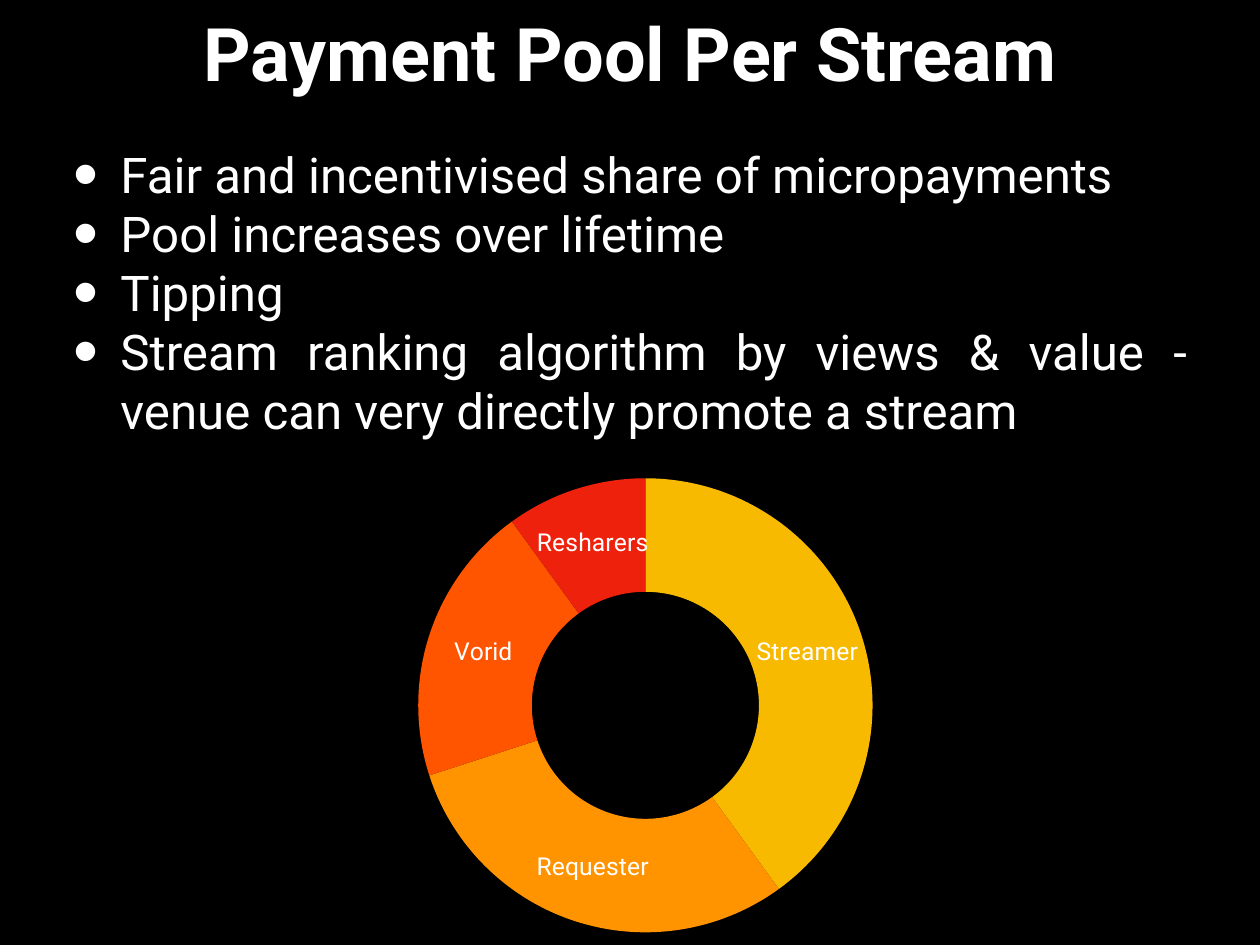
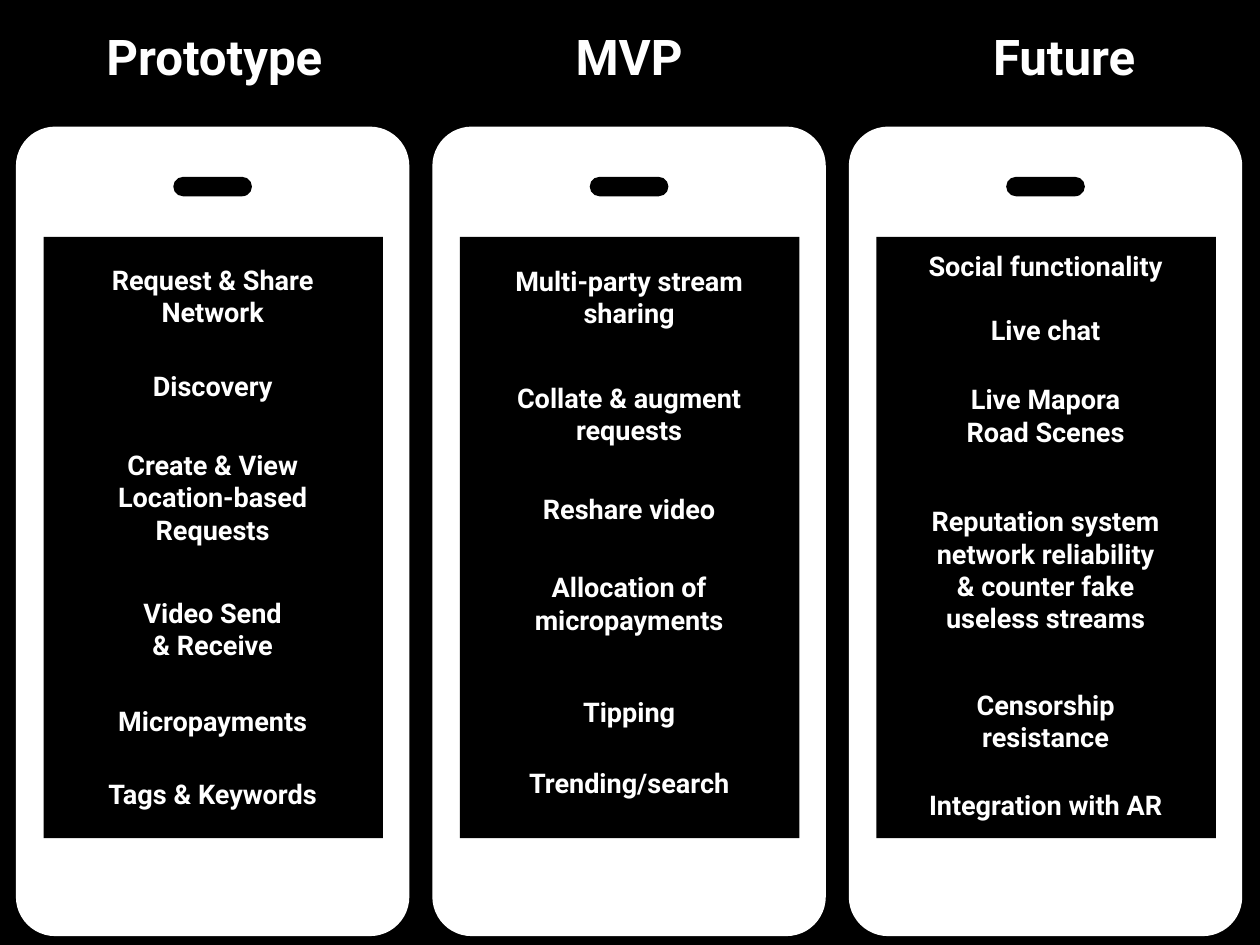
from lxml import etree
from pptx import Presentation
from pptx.chart.data import CategoryChartData
from pptx.dml.color import RGBColor
from pptx.enum.chart import XL_CHART_TYPE
from pptx.enum.shapes import MSO_SHAPE
from pptx.enum.text import MSO_ANCHOR, MSO_AUTO_SIZE, PP_ALIGN
from pptx.oxml import parse_xml
from pptx.oxml.ns import nsdecls, qn
from pptx.util import Inches, Pt

DOUGHNUT = XL_CHART_TYPE.DOUGHNUT
RECT, ROUND_RECT = MSO_SHAPE.RECTANGLE, MSO_SHAPE.ROUNDED_RECTANGLE
MIDDLE = MSO_ANCHOR.MIDDLE
CENTER, JUSTIFY = PP_ALIGN.CENTER, PP_ALIGN.JUSTIFY
NO_FIT, GROW = MSO_AUTO_SIZE.NONE, MSO_AUTO_SIZE.SHAPE_TO_FIT_TEXT

SLIDE_W, SLIDE_H = 14.22, 10.67
FONT = "Roboto"
INSET = 0.06
COLORS = {
    "back": "000000",
    "text": "FFFFFF",
    "phone": "FFFFFF",
    "yellow": "F8BA00",
    "amber": "FF9300",
    "orange": "FF5400",
    "red": "EE220C",
}

BULLETS = [
    "Fair and incentivised share of micropayments",
    "Pool increases over lifetime",
    "Tipping",
    "Stream ranking algorithm by views & value - venue can very directly promote a stream",
]
# name, share of the pool, colour
SHARES = [
    ("Streamer", 40, "yellow"),
    ("Requester", 30, "amber"),
    ("Vorid", 20, "orange"),
    ("Resharers", 10, "red"),
]

PHONE_W, PHONE_H, PHONE_TOP = 4.44, 9.14, 1.43
PHONE_LEFT, PHONE_PITCH = 0.18, 4.7
HEADING_TOP, HEADING_H = -0.02, 1.3
LINE_H = 0.36
# heading, its width, its shift from the phone's centre,
# features as (text, distance below the phone's top, width)
STAGES = [
    ("Prototype", 4.83, 0.02, [
        ("Request & Share\nNetwork", 1.49, 3.41),
        ("Discovery", 2.68, 1.59),
        ("Create & View\nLocation-based\nRequests", 3.58, 2.38),
        ("Video Send\n& Receive", 5.25, 1.87),
        ("Micropayments", 6.47, 2.37),
        ("Tags & Keywords", 7.29, 2.67),
    ]),
    ("MVP", 2.51, 0, [
        ("Multi-party stream\nsharing", 1.5, 2.77),
        ("Collate & augment\nrequests", 2.82, 2.81),
        ("Reshare video", 4.07, 2.21),
        ("Allocation of\nmicropayments", 4.96, 2.38),
        ("Tipping", 6.36, 1.22),
        ("Trending/search", 7.17, 2.49),
    ]),
    ("Future", 3.1, 0.21, [
        ("Social functionality", 1.33, 2.93),
        ("Live chat", 2.05, 1.45),
        ("Live Mapora\nRoad Scenes", 2.84, 1.96),
        ("Reputation system\nnetwork reliability\n& counter fake\nuseless streams", 4.22, 2.94),
        ("Censorship\nresistance", 6.29, 1.89),
        ("Integration with AR", 7.42, 2.91),
    ]),
]


def rgb(name):
    return RGBColor.from_string(COLORS[name])


def place(sp, x, y, w, h):
    sp.left, sp.top, sp.width, sp.height = (Inches(v) for v in (x, y, w, h))


def style_font(font, size, bold=False):
    font.name, font.size, font.bold = FONT, Pt(size), bold
    font.color.rgb = rgb("text")


def write(sp, text, size, bold=False, align=CENTER, wrap=True, fit=NO_FIT):
    """Fill a text shape with one paragraph per line of text."""
    tf = sp.text_frame
    tf.text = text
    tf.word_wrap, tf.auto_size, tf.vertical_anchor = wrap, fit, MIDDLE
    tf.margin_left = tf.margin_right = tf.margin_top = tf.margin_bottom = Inches(INSET)
    for p in tf.paragraphs:
        p.alignment = align
        p.space_before = Pt(0)
        for r in p.runs:
            style_font(r.font, size, bold)


def add_bullet(p, indent=0.53, size_pct=145):
    ppr = p._p.get_or_add_pPr()
    ppr.set("marL", str(Inches(indent)))
    ppr.set("indent", str(-Inches(indent)))
    for tag, key, value in (("a:buSzPct", "val", str(size_pct * 1000)),
                            ("a:buFont", "typeface", "Arial"),
                            ("a:buChar", "char", "•")):
        etree.SubElement(ppr, qn(tag)).set(key, value)


def add_pool_chart(slide, x, y, side):
    data = CategoryChartData()
    data.categories = [name for name, _, _ in SHARES]
    data.add_series("Series 1", [value for _, value, _ in SHARES])
    chart = slide.shapes.add_chart(
        DOUGHNUT, *(Inches(v) for v in (x, y, side, side)), data).chart
    chart.has_title = chart.has_legend = False
    style_font(chart.font, 10)

    plot = chart.plots[0]
    for i, (_, _, color) in enumerate(SHARES):
        fmt = plot.series[0].points[i].format
        fmt.fill.solid()
        fmt.fill.fore_color.rgb = rgb(color)
        fmt.line.fill.background()
    plot.has_data_labels = True
    labels = plot.data_labels
    labels.show_category_name = True
    labels.show_value = labels.show_percentage = False
    style_font(labels.font, 20)

    area = chart._chartSpace.chart.plotArea
    for old in area.findall(qn("c:layout")):
        area.remove(old)
    edges = "".join(f'<c:{tag} val="{value}"/>' for tag, value in (
        ("layoutTarget", "inner"), ("xMode", "edge"), ("yMode", "edge"),
        ("x", 0), ("y", 0), ("w", 0.99), ("h", 0.99)))
    area.insert(0, parse_xml(
        f'<c:layout {nsdecls("c")}><c:manualLayout>{edges}</c:manualLayout></c:layout>'))


def build_pool_slide(prs):
    slide = prs.slides.add_slide(prs.slide_layouts[1])
    title, body = slide.placeholders
    margin = 0.64
    place(title, margin, -0.02, SLIDE_W - 2 * margin, 1.22)
    write(title, "Payment Pool Per Stream", 60, bold=True)
    place(body, 0.77, 1.58, 12.69, 3.44)
    write(body, "\n".join(BULLETS), 40, align=JUSTIFY)
    for p in body.text_frame.paragraphs:
        add_bullet(p)
    add_pool_chart(slide, 4.72, 5.4, 5.18)


def add_phone(slide, x, y, w, h):
    """Draw body, speaker and screen as shares of the phone's box."""
    parts = [
        (ROUND_RECT, "phone", 0.1, 0, 0, 1, 1),
        (ROUND_RECT, "back", 0.5, 0.4, 0.062, 0.2, 0.024),
        (RECT, "back", None, 0.07, 0.136, 0.863, 0.743),
    ]
    for kind, color, radius, px, py, pw, ph in parts:
        sp = slide.shapes.add_shape(kind, 0, 0, 0, 0)
        place(sp, x + px * w, y + py * h, pw * w, ph * h)
        if radius is not None:
            sp.adjustments[0] = radius
        sp.shadow.inherit = False
        sp.fill.solid()
        sp.fill.fore_color.rgb = rgb(color)
        sp.line.fill.background()


def add_label(slide, center, y, w, h, text, size, **options):
    """Add a bold text box centred on a vertical axis."""
    sp = slide.shapes.add_textbox(0, 0, 0, 0)
    write(sp, text, size, bold=True, **options)
    place(sp, center - w / 2, y, w, h)


def add_stage(slide, x, heading, heading_w, shift, features):
    center = x + PHONE_W / 2
    add_label(slide, center + shift, HEADING_TOP, heading_w, HEADING_H, heading, 40)
    add_phone(slide, x, PHONE_TOP, PHONE_W, PHONE_H)
    for text, dy, w in features:
        h = 2 * INSET + LINE_H * len(text.split("\n"))
        add_label(slide, center, PHONE_TOP + dy, w, h, text, 22, wrap=False, fit=GROW)


def build_roadmap_slide(prs):
    slide = prs.slides.add_slide(prs.slide_layouts[6])
    for i, stage in enumerate(STAGES):
        add_stage(slide, PHONE_LEFT + i * PHONE_PITCH, *stage)


def main():
    prs = Presentation()
    prs.slide_width, prs.slide_height = Inches(SLIDE_W), Inches(SLIDE_H)
    fill = prs.slide_master.background.fill
    fill.solid()
    fill.fore_color.rgb = rgb("back")
    build_pool_slide(prs)
    build_roadmap_slide(prs)
    prs.save("out.pptx")


if __name__ == "__main__":
    main()
